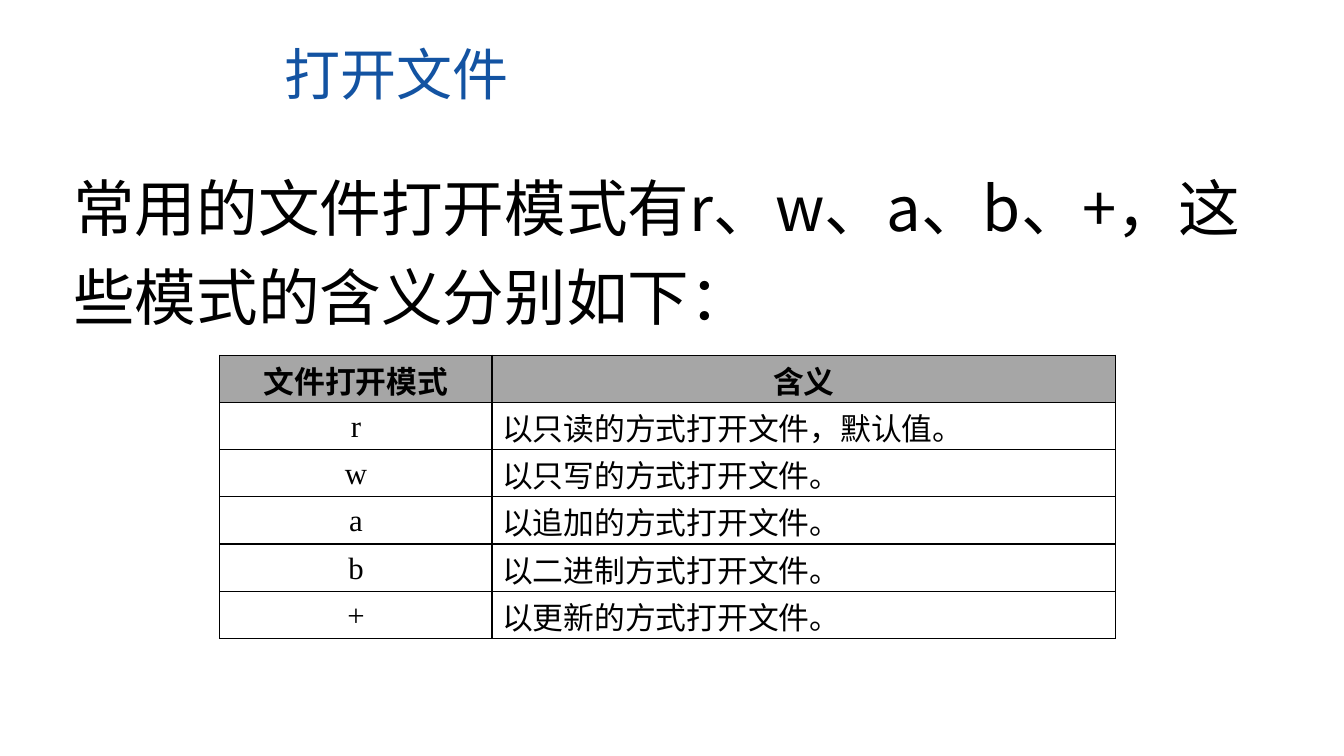
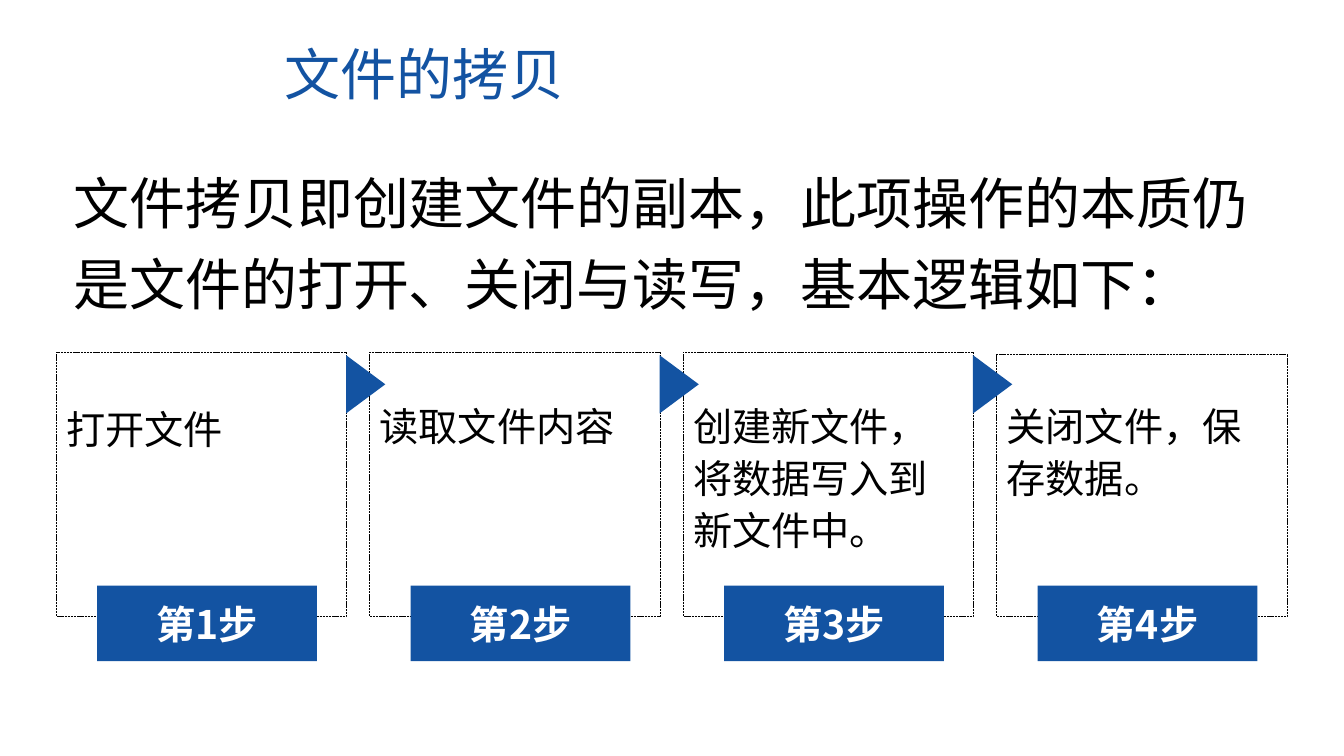
from dataclasses import dataclass

from lxml import etree
from pptx import Presentation
from pptx.dml.color import RGBColor
from pptx.enum.dml import MSO_LINE
from pptx.enum.shapes import MSO_SHAPE
from pptx.enum.text import MSO_ANCHOR, PP_ALIGN
from pptx.oxml.ns import qn
from pptx.util import Cm, Pt

RECTANGLE = MSO_SHAPE.RECTANGLE
TRIANGLE = MSO_SHAPE.FLOWCHART_EXTRACT
DASH = MSO_LINE.SQUARE_DOT
MIDDLE = MSO_ANCHOR.MIDDLE
LEFT, CENTER = PP_ALIGN.LEFT, PP_ALIGN.CENTER

COLORS = {"blue": "1353A2", "black": "000000", "white": "FFFFFF", "header": "A6A6A6"}
SANS = "Noto Sans CJK SC"
SERIF = "Times New Roman"
LINE_HEIGHT = 1.205  # single line height, in ems


@dataclass(frozen=True)
class Box:
    """A place on the slide, in centimetres."""
    left: float
    top: float
    width: float
    height: float

    def lengths(self) -> tuple:
        return Cm(self.left), Cm(self.top), Cm(self.width), Cm(self.height)


@dataclass(frozen=True)
class Style:
    size: int
    color: str = "black"
    bold: bool = False
    font: str = SANS
    spacing: float = 1.0
    align: PP_ALIGN = LEFT


@dataclass(frozen=True)
class Step:
    text: str
    spacing: float = 1.1
    text_top: float = 9.78
    panel_top: float = 8.87


TITLE_BOX = Box(6.93, 0.74, 14.94, 1.96)
INTRO_BOX = Box(1.6, 3.66, 31.22, 4.57)
TITLE_STYLE = Style(40, "blue")
BADGE_STYLE = Style(28, "white", bold=True, align=CENTER)
HEADER_STYLE = Style(22, bold=True, align=CENTER)
MODE_STYLE = Style(22, font=SERIF, align=CENTER)
MEANING_STYLE = Style(22)

MODES = [
    ("文件打开模式", "含义"),
    ("r", "以只读的方式打开文件，默认值。"),
    ("w", "以只写的方式打开文件。"),
    ("a", "以追加的方式打开文件。"),
    ("b", "以二进制方式打开文件。"),
    ("+", "以更新的方式打开文件。"),
]
STEPS = [
    Step("打开文件", spacing=1.2, text_top=9.73),
    Step("读取文件内容"),
    Step("创建新文件，将数据写入到新文件中。"),
    Step("关闭文件，保存数据。", panel_top=8.94),
]


def rgb(name: str) -> RGBColor:
    return RGBColor.from_string(COLORS[name])


def write(frame, text: str, style: Style) -> None:
    frame.text = text
    paragraph = frame.paragraphs[0]
    paragraph.alignment = style.align
    for run in paragraph.runs:
        run.font.size = Pt(style.size)
        run.font.bold = style.bold
        run.font.name = style.font
        run.font.color.rgb = rgb(style.color)
        east_asian = etree.SubElement(run.font._element, qn("a:ea"))
        east_asian.set("typeface", SANS)


def add_text(slide, box: Box, text: str, style: Style) -> None:
    frame = slide.shapes.add_textbox(*box.lengths()).text_frame
    frame.word_wrap = True
    frame.margin_top = Cm(0.24)
    write(frame, text, style)
    frame.paragraphs[0].line_spacing = Pt(round(style.size * style.spacing * LINE_HEIGHT, 1))


def add_block(slide, kind: MSO_SHAPE, box: Box, fill: str | None = None):
    """Blue solid without outline, or an empty dashed panel."""
    block = slide.shapes.add_shape(kind, *box.lengths())
    block.shadow.inherit = False
    if fill:
        block.fill.solid()
        block.fill.fore_color.rgb = rgb(fill)
        block.line.fill.background()
    else:
        block.fill.background()
        block.line.color.rgb = rgb("black")
        block.line.width = Pt(0.5)
        block.line.dash_style = DASH
    return block


def add_page(deck, title: str, intro: str, intro_style: Style):
    slide = deck.slides.add_slide(deck.slide_layouts[6])
    add_text(slide, TITLE_BOX, title, TITLE_STYLE)
    add_text(slide, INTRO_BOX, intro, intro_style)
    return slide


def add_borders(cell) -> None:
    properties = cell._tc.get_or_add_tcPr()
    for index, side in enumerate(("a:lnL", "a:lnR", "a:lnT", "a:lnB")):
        line = etree.Element(qn(side), w=str(Pt(1)))
        solid = etree.SubElement(line, qn("a:solidFill"))
        etree.SubElement(solid, qn("a:srgbClr"), val=COLORS["black"])
        properties.insert(index, line)


def add_mode_table(slide) -> None:
    widths, row_height = (6.86, 15.72), 1.19
    place = Box(5.54, 8.95, sum(widths), row_height * len(MODES))
    table = slide.shapes.add_table(len(MODES), len(widths), *place.lengths()).table
    table.first_row = table.horz_banding = False
    for column, width in zip(table.columns, widths):
        column.width = Cm(width)
    for row_index, row in enumerate(MODES):
        table.rows[row_index].height = Cm(row_height)
        styles = (MODE_STYLE, MEANING_STYLE) if row_index else (HEADER_STYLE, HEADER_STYLE)
        for column_index, (text, style) in enumerate(zip(row, styles)):
            cell = table.cell(row_index, column_index)
            cell.vertical_anchor = MIDDLE
            cell.margin_top, cell.margin_bottom = Cm(0.05), Cm(0)
            write(cell.text_frame, text, style)
            if row_index:
                cell.fill.background()
            else:
                cell.fill.solid()
                cell.fill.fore_color.rgb = rgb("header")
            add_borders(cell)


def add_step(slide, index: int, step: Step) -> None:
    left, pitch, width, bottom = 1.42 + 7.9 * index, 7.9, 7.32, 15.53
    add_block(slide, RECTANGLE, Box(left, step.panel_top, width, bottom - step.panel_top))
    add_text(slide, Box(left, step.text_top, width, 4), step.text,
             Style(28, spacing=step.spacing))
    badge = add_block(slide, RECTANGLE, Box(left + 1.03, 14.76, 5.54, 1.9), "blue")
    badge.text_frame.vertical_anchor = MIDDLE
    write(badge.text_frame, f"第{index + 1}步", BADGE_STYLE)
    # Arrow leading in from the step before
    if index:
        arrow = add_block(slide, TRIANGLE, Box(left - pitch + 7.06, 9.19, 1.47, 0.99), "blue")
        arrow.rotation = 90


def main() -> None:
    deck = Presentation()
    deck.slide_width, deck.slide_height = Cm(33.87), Cm(19.05)

    # File modes
    modes = add_page(deck, "打开文件",
                     "常用的文件打开模式有r、w、a、b、+，这些模式的含义分别如下：",
                     Style(44, spacing=1.2))
    add_mode_table(modes)

    # Copying a file in four steps
    copying = add_page(deck, "文件的拷贝",
                       "文件拷贝即创建文件的副本，此项操作的本质仍是文件的打开、关闭与读写，基本逻辑如下：",
                       Style(40, spacing=1.2))
    for index, step in enumerate(STEPS):
        add_step(copying, index, step)

    deck.save("out.pptx")


if __name__ == "__main__":
    main()
